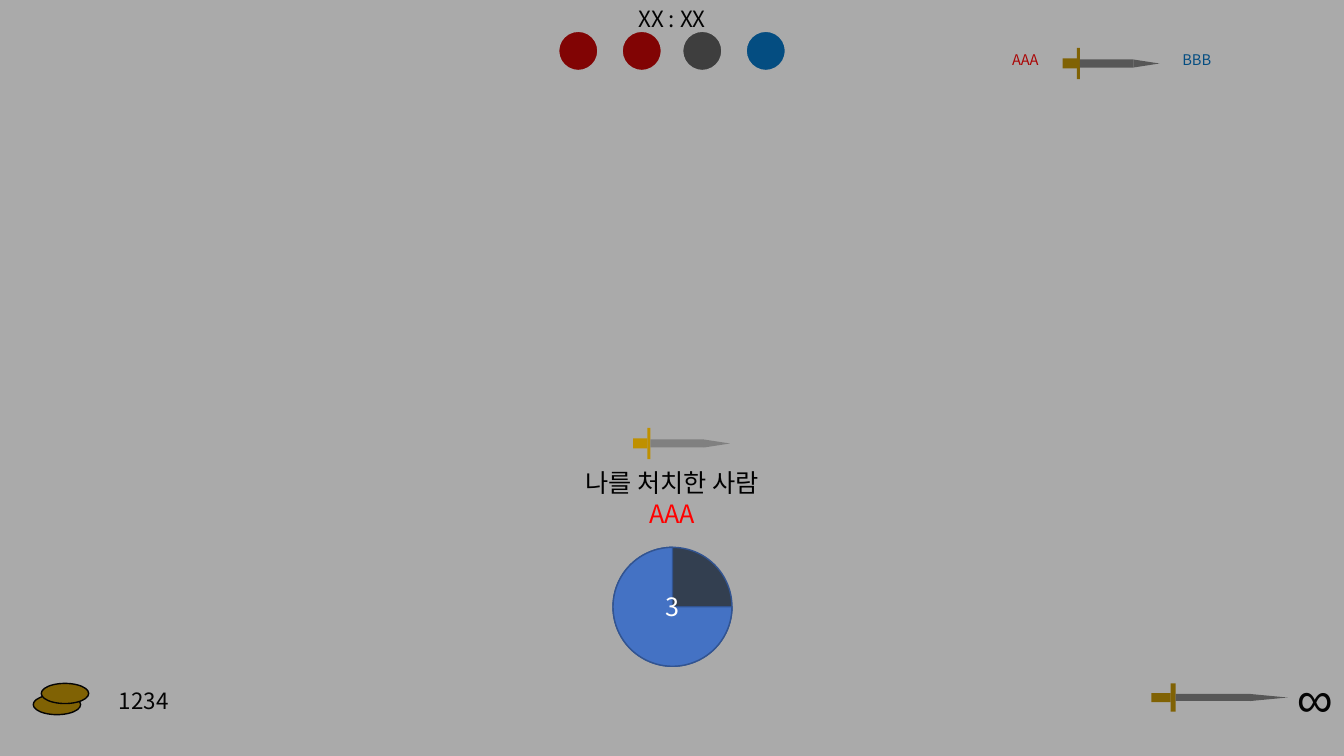
import pptx
import pptx.util
import pptx.dml.color
import pptx.enum.shapes
import pptx.enum.text
import pptx.oxml
import pptx.oxml.ns
from dataclasses import dataclass

Inches = pptx.util.Inches
SHAPE = pptx.enum.shapes.MSO_SHAPE


@dataclass(frozen=True)
class Theme:
    """Colours, fonts and type sizes of the game screen."""
    black: str = "000000"
    white: str = "FFFFFF"
    red: str = "FF0000"
    blue: str = "0070C0"
    red_team: str = "C00000"
    neutral: str = "595959"
    gold: str = "BF9000"
    steel: str = "808080"
    dim: str = "0D0D0D"
    elapsed: str = "333F50"
    remaining: str = "4472C4"
    timer_edge: str = "325491"
    font: str = "Noto Sans CJK KR"
    symbol_font: str = "Arial"
    name_size: float = 10.5
    counter_size: float = 16
    message_size: float = 18
    symbol_size: float = 36


THEME = Theme()


def rgb(colour):
    """Turn a hex string into a colour."""
    return pptx.dml.color.RGBColor.from_string(colour)


def add_shape(shapes, kind, box, fill, edge=None):
    """Add a flat preset shape, outlined only when an edge colour is given."""
    shape = shapes.add_shape(kind, *map(Inches, box))
    shape.shadow.inherit = False
    shape.fill.solid()
    shape.fill.fore_color.rgb = rgb(fill)
    if edge:
        shape.line.color.rgb = rgb(edge)
        shape.line.width = pptx.util.Pt(1)
    else:
        shape.line.fill.background()
    return shape


def write(frame, lines, size, font=THEME.font):
    """Fill a text frame with centred (text, colour) lines."""
    frame.word_wrap = True
    for index, (text, colour) in enumerate(lines):
        paragraph = frame.add_paragraph() if index else frame.paragraphs[0]
        run = paragraph.add_run()
        run.text = text
        paragraph.alignment = pptx.enum.text.PP_ALIGN.CENTER
        paragraph.font.size = pptx.util.Pt(size)
        paragraph.font.name = font
        paragraph.font.color.rgb = rgb(colour)
        east_asian = pptx.oxml.parse_xml(
            f'<a:ea {pptx.oxml.ns.nsdecls("a")} typeface="{font}"/>')
        latin = paragraph.font._element.find(pptx.oxml.ns.qn("a:latin"))
        latin.addnext(east_asian)


def add_label(slide, box, lines, size, font=THEME.font):
    """Add a text box that grows with its text."""
    label = slide.shapes.add_textbox(*map(Inches, box))
    write(label.text_frame, lines, size, font)
    label.text_frame.auto_size = pptx.enum.text.MSO_AUTO_SIZE.SHAPE_TO_FIT_TEXT


def add_sword(slide, left, middle, handle, guard, blade, tip):
    """Lay (length, thickness) parts end to end, pointing right."""
    sword = slide.shapes.add_group_shape()
    parts = [(SHAPE.RECTANGLE, handle, THEME.gold),
             (SHAPE.RECTANGLE, guard, THEME.gold),
             (SHAPE.RECTANGLE, blade, THEME.steel),
             (SHAPE.ISOSCELES_TRIANGLE, tip, THEME.steel)]
    for kind, (length, thickness), colour in parts:
        box = (left + (length - thickness) / 2, middle - length / 2,
               thickness, length)
        add_shape(sword.shapes, kind, box, colour).rotation = 90
        left += length


def add_small_sword(slide, left, middle):
    """Add the sword used in kill messages."""
    add_sword(slide, left, middle, (0.14, 0.1), (0.03, 0.31),
              (0.53, 0.08), (0.26, 0.08))


def add_score(slide):
    """Add the capture points and the clock at the top."""
    points = slide.shapes.add_group_shape()
    for left, colour in [(5.54, THEME.red_team), (6.17, THEME.red_team),
                         (6.77, THEME.neutral), (7.4, THEME.blue)]:
        add_shape(points.shapes, SHAPE.OVAL, (left, 0.31, 0.39, 0.39),
                  colour, THEME.white)
    add_label(slide, (6.14, 0, 1.05, 0.37), [("XX : XX", THEME.black)],
              THEME.counter_size)


def add_weapon(slide):
    """Add the held weapon and its unlimited ammunition."""
    add_sword(slide, 11.42, 6.92, (0.19, 0.09), (0.05, 0.28),
              (0.74, 0.07), (0.37, 0.07))
    add_label(slide, (12.75, 6.57, 0.58, 0.71), [("∞", THEME.black)],
              THEME.symbol_size, THEME.symbol_font)


def add_kill_feed(slide):
    """Add the line saying who struck whom."""
    add_label(slide, (9.81, 0.45, 0.72, 0.29), [("AAA", THEME.red)],
              THEME.name_size)
    add_small_sword(slide, 10.54, 0.63)
    add_label(slide, (11.51, 0.45, 0.72, 0.29), [("BBB", THEME.blue)],
              THEME.name_size)


def add_coins(slide):
    """Add the two coins and the amount held."""
    for left, top in [(0.33, 6.89), (0.41, 6.78)]:
        add_shape(slide.shapes, SHAPE.OVAL, (left, top, 0.47, 0.2),
                  THEME.gold, THEME.black)
    add_label(slide, (0.9, 6.77, 1.05, 0.37), [("1234", THEME.black)],
              THEME.counter_size)


def add_dimmer(slide):
    """Darken everything beneath with a see-through sheet."""
    sheet = add_shape(slide.shapes, SHAPE.RECTANGLE, (0, 0, 13.33, 7.5),
                      THEME.dim)
    colour = sheet.fill._xPr.find(".//" + pptx.oxml.ns.qn("a:srgbClr"))
    colour.append(pptx.oxml.parse_xml(
        f'<a:alpha {pptx.oxml.ns.nsdecls("a")} val="35000"/>'))


def add_respawn(slide):
    """Add the killer's name and the respawn countdown."""
    add_label(slide, (5.18, 4.59, 2.97, 0.71),
              [("나를 처치한 사람", THEME.black), ("AAA", THEME.red)],
              THEME.message_size)
    add_small_sword(slide, 6.28, 4.4)
    dial = (6.08, 5.43, 1.18, 1.18)
    add_shape(slide.shapes, SHAPE.OVAL, dial, THEME.elapsed, THEME.timer_edge)
    countdown = add_shape(slide.shapes, SHAPE.PIE, dial, THEME.remaining,
                          THEME.timer_edge)
    countdown.text_frame.vertical_anchor = pptx.enum.text.MSO_ANCHOR.MIDDLE
    write(countdown.text_frame, [("3", THEME.white)], THEME.message_size)


def main():
    """Build the respawn screen and save it."""
    deck = pptx.Presentation()
    deck.slide_width, deck.slide_height = Inches(13.33), Inches(7.5)
    slide = deck.slides.add_slide(deck.slide_layouts[6])
    add_score(slide)
    add_weapon(slide)
    add_kill_feed(slide)
    add_coins(slide)
    add_dimmer(slide)
    add_respawn(slide)
    deck.save("out.pptx")


main()
